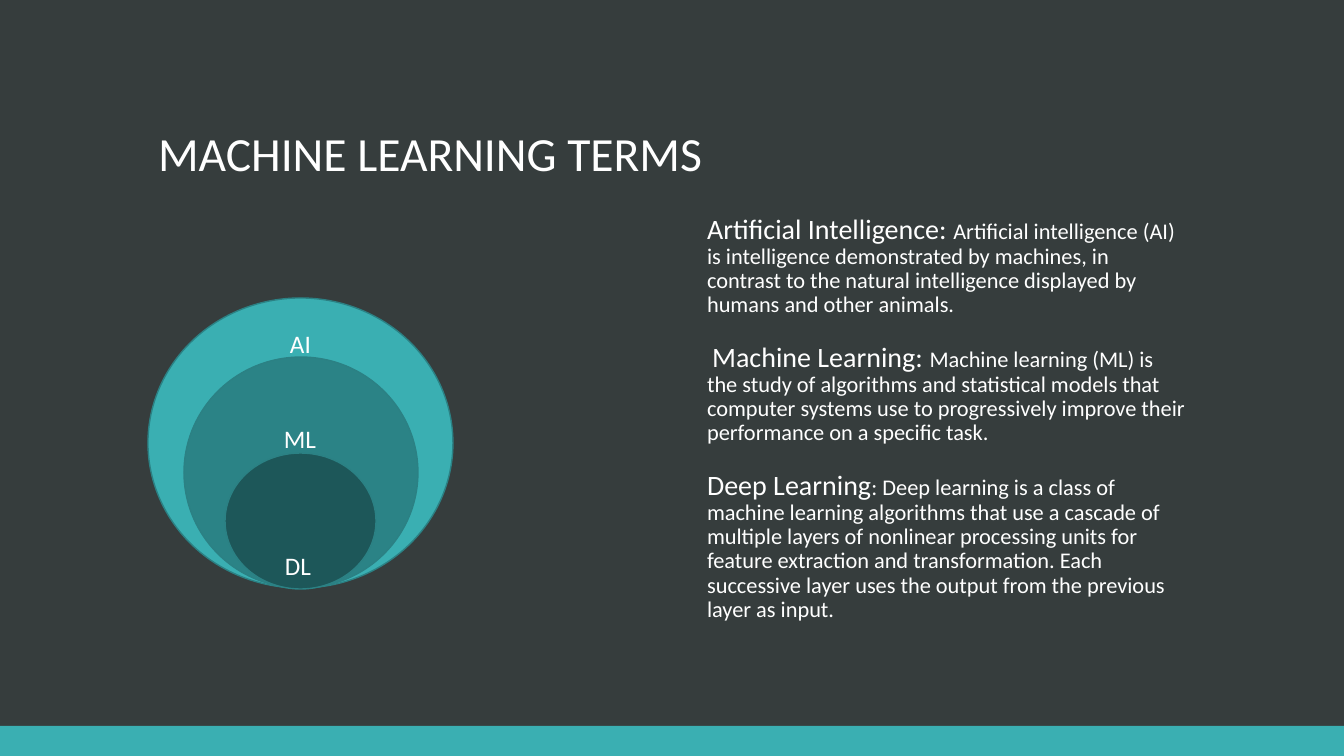
"""Build the slide on machine learning terms."""
from dataclasses import dataclass
from typing import Any

from lxml.etree import SubElement
from pptx import Presentation
from pptx.dml.color import RGBColor
from pptx.enum.shapes import MSO_SHAPE
from pptx.enum.text import MSO_ANCHOR, MSO_AUTO_SIZE, PP_ALIGN
from pptx.oxml.ns import qn
from pptx.util import Emu, Pt

SCALE = 914400 / 100.8
COLORS = {"back": "363D3D", "teal": "3AAFB2", "mid": "2B8386",
          "deep": "1D5759", "edge": "2B8184", "text": "FFFFFF"}
FRAME = {"word_wrap": True, "auto_size": MSO_AUTO_SIZE.NONE}
TIGHT = {"alignment": PP_ALIGN.LEFT, "line_spacing": 0.9}

Box = tuple[int, int, int, int]
Runs = list[tuple[str, int]]


@dataclass
class Ring:
    box: Box
    fill: str


@dataclass
class Label:
    text: str
    box: Box


RINGS = [
    Ring((148, 298, 305, 290), "teal"),
    Ring((184, 357, 234, 231), "mid"),
    Ring((225, 453, 151, 136), "deep"),
]
LABELS = [
    Label("AI", (280, 323, 41, 41)),
    Label("ML", (274, 418, 52, 41)),
    Label("DL", (275, 545, 52, 41)),
]
TERMS: list[Runs] = [
    [("Artificial Intelligence: ", 20),
     ("Artificial intelligence (AI) is intelligence demonstrated by machines, "
      "in contrast to the natural intelligence displayed by humans and other "
      "animals.", 16)],
    [(" ", 16), ("Machine Learning: ", 20),
     ("Machine learning (ML) is the study of algorithms and statistical models "
      "that computer systems use to progressively improve their performance on "
      "a specific task.", 16)],
    [("Deep Learning", 20),
     (": Deep learning is a class of machine learning algorithms that use a "
      "cascade of multiple layers of nonlinear processing units for feature "
      "extraction and transformation. Each successive layer uses the output "
      "from the previous layer as input.", 16)],
]


def px(size: int) -> Emu:
    """Turn pixels into EMU."""
    return Emu(round(size * SCALE))


def rgb(name: str) -> RGBColor:
    """Look up a named colour."""
    return RGBColor.from_string(COLORS[name])


def apply(item: Any, form: dict[str, Any]) -> None:
    """Set each format value on an item."""
    for key, value in form.items():
        setattr(item, key, value)


def place(shape: Any, box: Box) -> None:
    """Move and size a shape."""
    apply(shape, dict(zip(("left", "top", "width", "height"), map(px, box))))


def write(par: Any, runs: Runs) -> None:
    """Add sized runs to a paragraph."""
    for text, size in runs:
        run = par.add_run()
        run.text = text
        apply(run.font, {"name": "Calibri", "size": Pt(size)})
        run.font.color.rgb = rgb("text")


def draw(slide: Any, kind: MSO_SHAPE, box: Box, fill: str) -> Any:
    """Draw a filled shape with no shadow."""
    shape = slide.shapes.add_shape(kind, *map(px, box))
    shape.shadow.inherit = False
    shape.fill.solid()
    shape.fill.fore_color.rgb = rgb(fill)
    shape.line.fill.background()
    return shape


def add_ring(slide: Any, ring: Ring) -> None:
    """Draw one nested circle."""
    line = draw(slide, MSO_SHAPE.OVAL, ring.box, ring.fill).line
    line.color.rgb = rgb("edge")
    line.width = Pt(1)


def add_label(slide: Any, label: Label) -> None:
    """Write the name of a circle."""
    frame = slide.shapes.add_textbox(*map(px, label.box)).text_frame
    apply(frame, {**FRAME, "word_wrap": False})
    write(frame.paragraphs[0], [(label.text, 18)])


def add_title(slide: Any) -> None:
    """Fill the title."""
    title = slide.shapes.title
    place(title, (148, 51, 1048, 136))
    apply(title.text_frame, {**FRAME, "vertical_anchor": MSO_ANCHOR.BOTTOM})
    par = title.text_frame.paragraphs[0]
    apply(par, TIGHT)
    write(par, [("MACHINE LEARNING TERMS", 34)])


def add_terms(slide: Any) -> None:
    """Fill the body with the terms."""
    body = slide.placeholders[1]
    place(body, (692, 210, 504, 455))
    frame = body.text_frame
    apply(frame, {**FRAME, "vertical_anchor": MSO_ANCHOR.TOP})
    for rank, runs in enumerate(TERMS):
        par = frame.add_paragraph() if rank else frame.paragraphs[0]
        apply(par, {**TIGHT, "space_before": Pt(18)})
        props = par._p.get_or_add_pPr()
        props.set("marL", str(px(5)))
        props.set("indent", "0")
        SubElement(props, qn("a:buNone"))
        write(par, runs)


def main() -> None:
    """Build and save the slide."""
    deck = Presentation()
    apply(deck, {"slide_width": px(1344), "slide_height": px(756)})
    slide = deck.slides.add_slide(deck.slide_layouts[1])
    slide.background.fill.solid()
    slide.background.fill.fore_color.rgb = rgb("back")
    draw(slide, MSO_SHAPE.RECTANGLE, (0, 726, 1344, 30), "teal")
    add_title(slide)
    add_terms(slide)
    for ring in RINGS:
        add_ring(slide, ring)
    for label in LABELS:
        add_label(slide, label)
    deck.save("out.pptx")


main()
